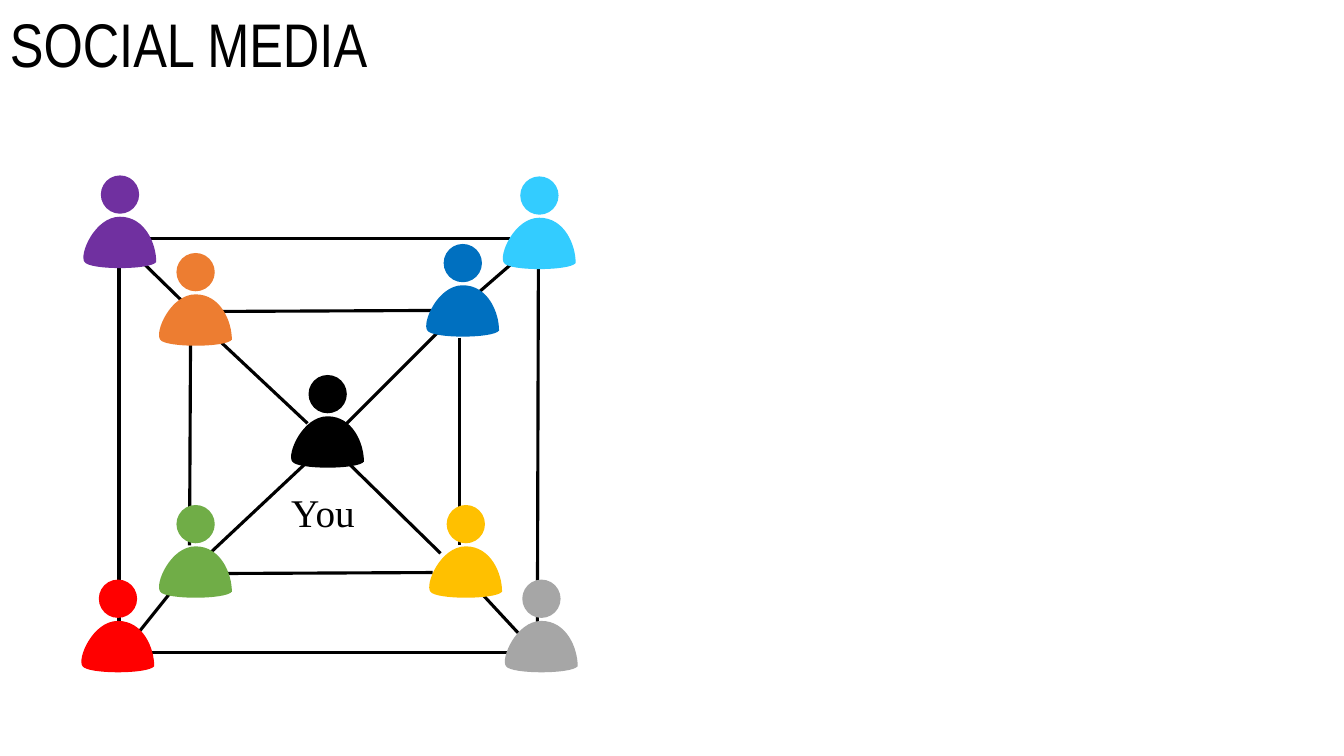
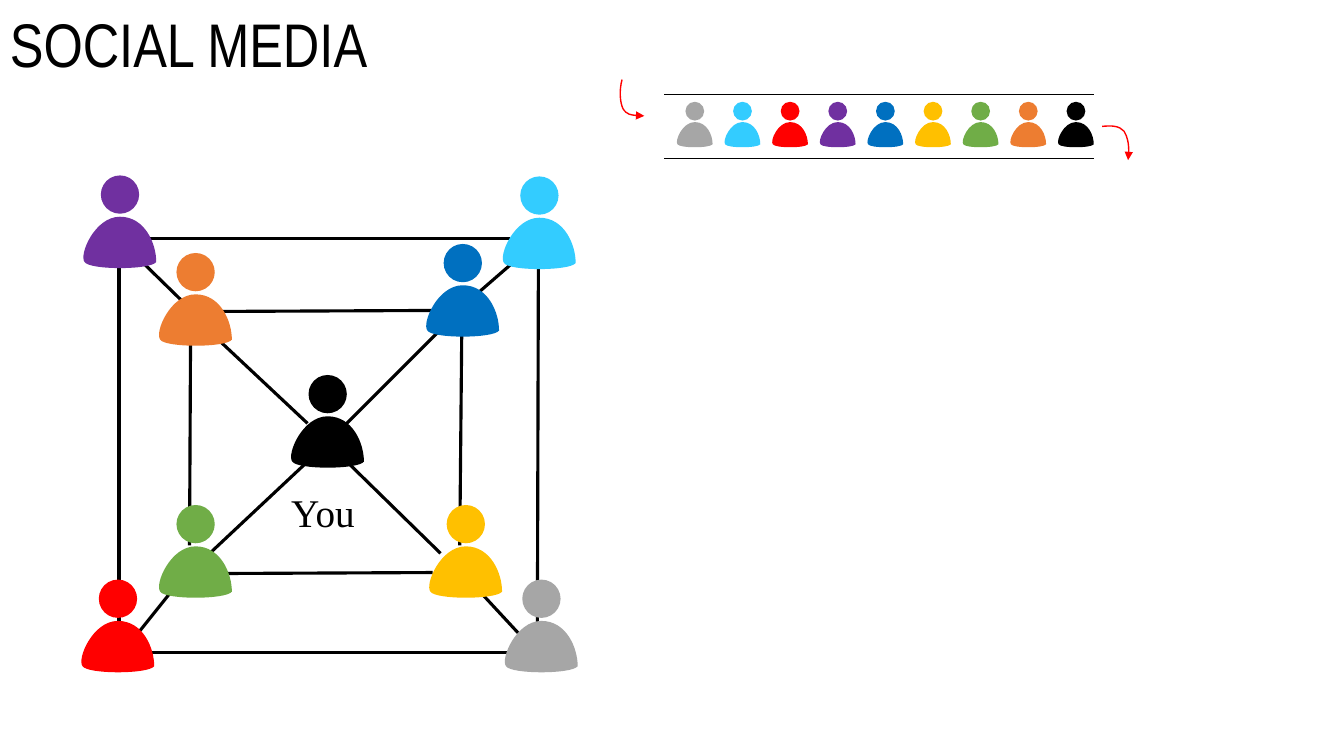
from lxml import etree
from pptx import Presentation
from pptx.dml.color import RGBColor
from pptx.enum.shapes import MSO_CONNECTOR, MSO_SHAPE
from pptx.enum.text import MSO_ANCHOR, MSO_AUTO_SIZE
from pptx.oxml.ns import qn
from pptx.util import Inches, Pt

BLACK, RED = "000000", "FF0000"
TITLE = "SOCIAL MEDIA"

# name: (colour, left, top)
PEOPLE = {
    "orange": ("ED7D31", 1.57, 2.51),
    "blue": ("0070C0", 4.22, 2.42),
    "green": ("70AD47", 1.57, 5.01),
    "yellow": ("FFC000", 4.25, 5.01),
    "purple": ("7030A0", 0.82, 1.74),
    "cyan": ("33CCFF", 4.98, 1.75),
    "red": (RED, 0.8, 5.75),
    "grey": ("A6A6A6", 5, 5.75),
    "you": (BLACK, 2.88, 3.72),
}
QUEUE = ["you", "orange", "green", "yellow", "blue", "purple", "red", "cyan", "grey"]

LINKS = [
    (3.05, 4.58, 2.08, 5.49), (3.05, 4.2, 2.08, 3.29),
    (4.37, 3.27, 3.44, 4.2), (4.76, 2.89, 5.14, 2.56),
    (3.44, 4.58, 4.37, 5.49), (1.89, 3.37, 1.88, 5.41),
    (4.29, 3.08, 2.16, 3.09), (4.29, 5.68, 2.16, 5.69),
    (5.06, 6.47, 1.45, 6.47), (5.06, 2.37, 1.45, 2.37),
    (1.18, 2.64, 1.18, 6.2), (5.34, 2.64, 5.33, 6.2),
    (1.81, 2.99, 1.37, 2.56), (4.76, 5.87, 5.14, 6.28),
    (1.69, 5.88, 1.37, 6.28),
]
BLUE_YELLOW_LINKS = [(4.56, 3.35, 4.56, 5.41), (4.58, 3.27, 4.56, 5.41)]

HEAD_LEFT, HEAD_SIZE = 0.18, 0.38
BODY_TOP, BODY_SIZE = 0.41, (0.73, 0.51)
# Curves: a start point, then two control points and an end point per piece
BODY = [(0.02, 0.45), (-0.04, 0.38), (0.12, 0), (0.37, 0),
        (0.62, 0), (0.73, 0.27), (0.73, 0.45),
        (0.67, 0.53), (0.07, 0.53), (0.02, 0.45)]
ARROW_SIZE = (0.24, 0.36)
ARROW = [(0.02, 0), (-0.01, 0.11), (0, 0.23), (0.03, 0.29),
         (0.07, 0.35), (0.15, 0.36), (0.24, 0.36)]
# left, top, rotation, end that carries the arrowhead
ARROWS = [(6.15, 0.79, 0, "a:tailEnd"), (10.95, 1.24, 174, "a:headEnd")]

QUEUE_LEFT, QUEUE_RIGHT, QUEUE_TOP, QUEUE_SCALE = 6.71, 10.49, 1.01, 0.49
RAIL_LEFT, RAIL_RIGHT, RAIL_YS = 6.59, 10.85, (0.94, 1.57)


def rgb(color):
    return RGBColor.from_string(color)


def add_text(slide, text, left, top, width, height, *, size, font, wrap=True,
             anchor=MSO_ANCHOR.TOP, spacing=None, auto_size=MSO_AUTO_SIZE.NONE):
    tf = slide.shapes.add_textbox(
        Inches(left), Inches(top), Inches(width), Inches(height)).text_frame
    tf.word_wrap, tf.vertical_anchor, tf.auto_size = wrap, anchor, auto_size
    p = tf.paragraphs[0]
    p.line_spacing = spacing
    r = p.add_run()
    r.text = text
    r.font.size, r.font.name = Pt(size), font
    r.font.color.rgb = rgb(BLACK)


def add_line(shapes, x1, y1, x2, y2, width):
    line = shapes.add_connector(
        MSO_CONNECTOR.STRAIGHT, Inches(x1), Inches(y1), Inches(x2), Inches(y2))
    line.line.color.rgb = rgb(BLACK)
    line.line.width = Pt(width)
    etree.SubElement(line._element.spPr, qn("a:effectLst"))


def add_curve(shapes, curve, left, top, size, scale=1.0, closed=False):
    """Add a freeform of the given size whose outline is a chain of cubic curves."""
    right, bottom = left + size[0] * scale, top + size[1] * scale
    builder = shapes.build_freeform(Inches(left), Inches(top))
    builder.add_line_segments([(Inches(right), Inches(bottom))], close=False)
    sp = builder.convert_to_shape()
    sp.shadow.inherit = False
    outline = sp._element.spPr.find(".//" + qn("a:path"))
    for child in list(outline):
        outline.remove(child)
    pieces = [("a:moveTo", curve[:1])]
    pieces += [("a:cubicBezTo", curve[i:i + 3]) for i in range(1, len(curve), 3)]
    for tag, points in pieces:
        piece = etree.SubElement(outline, qn(tag))
        for x, y in points:
            etree.SubElement(piece, qn("a:pt"), x=str(Inches(x * scale)),
                             y=str(Inches(y * scale)))
    if closed:
        etree.SubElement(outline, qn("a:close"))
    return sp


def add_curved_arrow(slide, left, top, rotation, head_tag):
    sp = add_curve(slide.shapes, ARROW, left, top, ARROW_SIZE)
    sp.rotation = rotation
    sp.fill.background()
    sp.line.color.rgb = rgb(RED)
    sp.line.width = Pt(1)
    etree.SubElement(sp._element.spPr.find(qn("a:ln")), qn(head_tag), type="triangle")


def add_person(slide, color, left, top, scale=1.0):
    shapes = slide.shapes.add_group_shape().shapes
    size = Inches(HEAD_SIZE * scale)
    head = shapes.add_shape(
        MSO_SHAPE.OVAL, Inches(left + HEAD_LEFT * scale), Inches(top), size, size)
    head.shadow.inherit = False
    body = add_curve(shapes, BODY, left, top + BODY_TOP * scale, BODY_SIZE, scale,
                     closed=True)
    for sp in (head, body):
        sp.fill.solid()
        sp.fill.fore_color.rgb = rgb(color)
        sp.line.fill.background()


def add_network_lines(slide, blue_yellow_link):
    for link in [blue_yellow_link, *LINKS]:
        add_line(slide.shapes, *link, width=2.25)
    add_text(slide, "You", 2.79, 4.8, 0.84, 0.57, size=28, font="Times New Roman",
             wrap=False, auto_size=MSO_AUTO_SIZE.SHAPE_TO_FIT_TEXT)


def add_queue_track(slide):
    rails = slide.shapes.add_group_shape().shapes
    for y in RAIL_YS:
        add_line(rails, RAIL_LEFT, y, RAIL_RIGHT, y, width=0.5)
    for arrow in ARROWS:
        add_curved_arrow(slide, *arrow)


def add_queue_people(slide):
    step = (QUEUE_RIGHT - QUEUE_LEFT) / (len(QUEUE) - 1)
    for i, name in enumerate(QUEUE):
        add_person(slide, PEOPLE[name][0], QUEUE_RIGHT - i * step, QUEUE_TOP,
                   QUEUE_SCALE)


def add_network_slide(prs, blue_yellow_link, with_queue):
    slide = prs.slides.add_slide(prs.slide_layouts[6])
    add_text(slide, TITLE, 0, 0, 11.5, 0.94, size=44, font="Arial Narrow",
             anchor=MSO_ANCHOR.MIDDLE, spacing=0.9)
    add_network_lines(slide, blue_yellow_link)
    if with_queue:
        add_queue_track(slide)
    for person in PEOPLE.values():
        add_person(slide, *person)
    if with_queue:
        add_queue_people(slide)


def main():
    prs = Presentation()
    prs.slide_width, prs.slide_height = Inches(13.33), Inches(7.5)
    for link, with_queue in zip(BLUE_YELLOW_LINKS, (False, True)):
        add_network_slide(prs, link, with_queue)
    prs.save("out.pptx")


if __name__ == "__main__":
    main()
